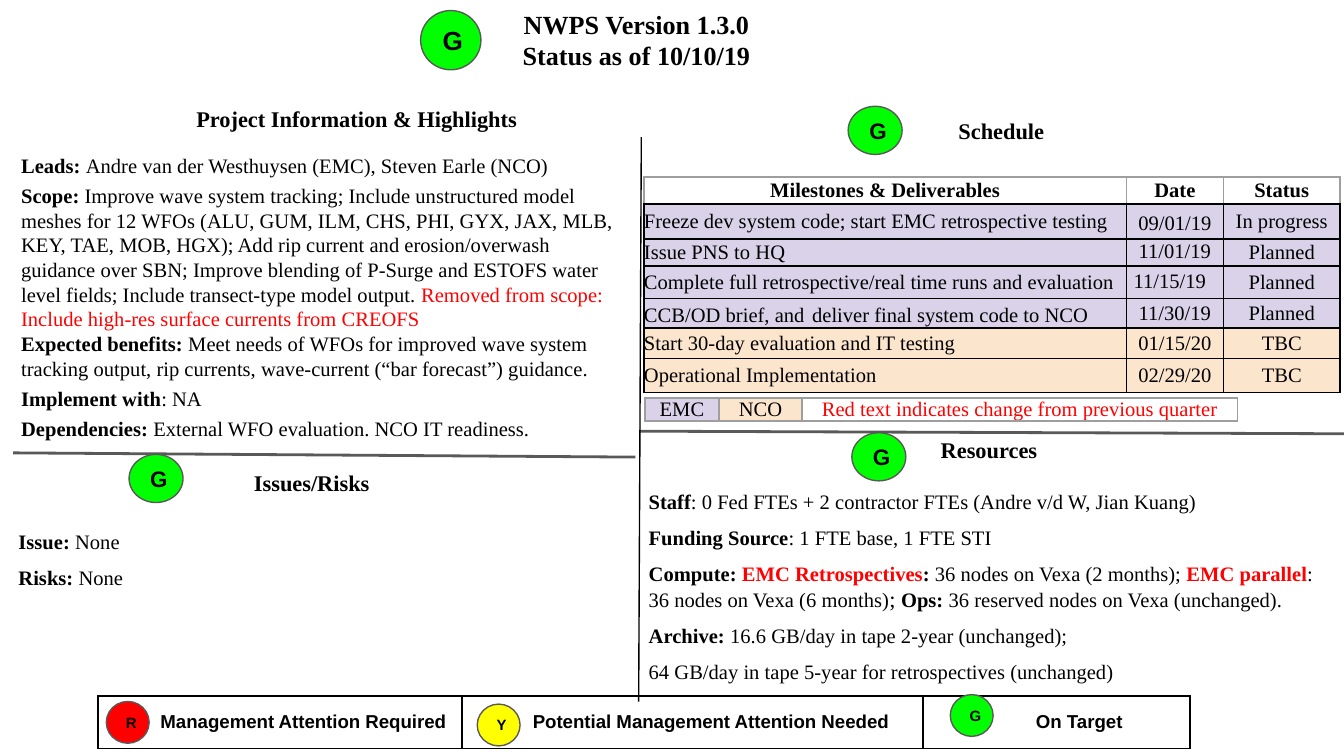
"""Build the NWPS quarterly project status slide."""
import pptx
import pptx.dml.color
import pptx.enum.shapes
import pptx.enum.text
import pptx.oxml
import pptx.oxml.ns
import pptx.util
from lxml import etree

Cm, Pt = pptx.util.Cm, pptx.util.Pt
RGBColor = pptx.dml.color.RGBColor
ALIGN = pptx.enum.text.PP_ALIGN
ANCHOR = pptx.enum.text.MSO_ANCHOR
SHAPE = pptx.enum.shapes.MSO_SHAPE

BLACK = RGBColor(0x00, 0x00, 0x00)
RED = RGBColor(0xFF, 0x00, 0x00)
YELLOW = RGBColor(0xFF, 0xFF, 0x00)
GREEN = RGBColor(0x00, 0xFF, 0x00)
GRAY = RGBColor(0x59, 0x59, 0x59)
LIGHT_GRAY = RGBColor(0x9E, 0x9E, 0x9E)
LILAC = RGBColor(0xD9, 0xD2, 0xE9)
PEACH = RGBColor(0xFC, 0xE5, 0xCD)
SERIF, SANS = "Times New Roman", "Arial"

HIGHLIGHTS = [
    (0, [("Leads: ", {"bold": True}),
         "Andre van der Westhuysen (EMC), Steven Earle (NCO)"]),
    (3, [("Scope: ", {"bold": True}),
         "Improve wave system tracking; Include unstructured model meshes for 12 WFOs "
         "(ALU, GUM, ILM, CHS, PHI, GYX, JAX, MLB, KEY, TAE, MOB, HGX); Add rip current "
         "and erosion/overwash guidance over SBN; Improve blending of P-Surge and ESTOFS "
         "water level fields; Include transect-type model output. ",
         ("Removed from scope: Include high-res surface currents from CREOFS",
          {"color": RED})]),
    (0, [("Expected benefits:", {"bold": True}),
         " Meet needs of WFOs for improved wave system tracking output, rip currents, "
         "wave-current (“bar forecast”) guidance."]),
    (3, [("Implement with", {"bold": True}), ": NA"]),
    (3, [("Dependencies: ", {"bold": True}),
         "External WFO evaluation. NCO IT readiness."]),
]
ISSUES = [
    (0, [("Issue: ", {"bold": True}), "None"]),
    (6, [("Risks: ", {"bold": True}), "None"]),
]
RESOURCES = [
    (0, [("Staff", {"bold": True}),
         ": 0 Fed FTEs + 2 contractor FTEs (Andre v/d W, Jian Kuang)"]),
    (6, [("Funding Source", {"bold": True}), ": 1 FTE base, 1 FTE STI"]),
    (6, [("Compute: ", {"bold": True}),
         ("EMC Retrospectives", {"bold": True, "color": RED}),
         (": ", {"bold": True}), "36 nodes on Vexa (2 months); ",
         ("EMC parallel", {"bold": True, "color": RED}),
         ": 36 nodes on Vexa (6 months)", ("; ", {"size": 12}),
         ("Ops: ", {"bold": True}), "36 reserved nodes on Vexa (unchanged)."]),
    (6, [("Archive:", {"bold": True}), " 16.6 GB/day in tape 2-year (unchanged);"]),
    (6, ["64 GB/day in tape 5-year for retrospectives (unchanged)"]),
]
MILESTONES = [
    (["Freeze dev system code; start EMC retrospective testing"],
     "09/01/19", "In progress", LILAC, 1.15),
    (["Issue PNS to HQ"], "11/01/19", "Planned", LILAC, 0.9),
    (["Complete full retrospective/real time runs and evaluation"],
     "11/15/19", "Planned", LILAC, 0.9),
    (["CCB/OD brief, and", (" ", {"size": 14, "name": SANS}),
      "deliver final system code to NCO"], "11/30/19", "Planned", LILAC, None),
    (["Start 30-day evaluation and IT testing"], "01/15/20", "TBC", PEACH, None),
    (["Operational Implementation"], "02/29/20", "TBC", PEACH, None),
]


def style_font(font, name=None, size=None, bold=None, color=None):
    """Apply the given font settings."""
    if name:
        font.name = name
    if size:
        font.size = Pt(size)
    if bold is not None:
        font.bold = bold
    if color is not None:
        font.color.rgb = color


def fill_paragraph(p, runs, size, name=SERIF, bold=False, color=BLACK, align=ALIGN.LEFT):
    """Write runs that share a paragraph font, with overrides per run."""
    p.alignment = align
    style_font(p.font, name, size, bold, color)
    for item in runs:
        text, changes = (item, {}) if isinstance(item, str) else item
        r = p.add_run()
        r.text = text
        style_font(r.font, **changes)


def set_frame(tf, anchor):
    """Set wrapping, anchor and equal insets of a text frame."""
    tf.word_wrap = True
    tf.auto_size = pptx.enum.text.MSO_AUTO_SIZE.NONE
    tf.vertical_anchor = anchor
    tf.margin_left = tf.margin_top = tf.margin_right = tf.margin_bottom = Cm(0.25)


def add_title(s, lines):
    """Place the slide title, one paragraph per line."""
    sp = s.shapes.title
    sp.left, sp.top, sp.width, sp.height = Cm(7.75), Cm(-0.03), Cm(8.56), Cm(1.55)
    tf = sp.text_frame
    set_frame(tf, ANCHOR.MIDDLE)
    for i, line in enumerate(lines):
        p = tf.add_paragraph() if i else tf.paragraphs[0]
        p.space_before = Pt(0)
        fill_paragraph(p, [line], 14, bold=True, align=ALIGN.CENTER)


def add_heading(s, text, x, y, w, h, align=ALIGN.LEFT):
    """Add a section heading."""
    tf = s.shapes.add_textbox(Cm(x), Cm(y), Cm(w), Cm(h)).text_frame
    set_frame(tf, ANCHOR.MIDDLE)
    fill_paragraph(tf.paragraphs[0], [text], 12, bold=True, align=align)


def add_body(s, paragraphs, x, y, w, h):
    """Add a text box of paragraphs, each with its space before."""
    tf = s.shapes.add_textbox(Cm(x), Cm(y), Cm(w), Cm(h)).text_frame
    set_frame(tf, ANCHOR.TOP)
    for i, (space, runs) in enumerate(paragraphs):
        p = tf.add_paragraph() if i else tf.paragraphs[0]
        if space:
            p.space_before = Pt(space)
        fill_paragraph(p, runs, 11)


def add_light(s, letter, color, x, y, w, h, size, align=ALIGN.CENTER):
    """Add a round status light with its letter."""
    sp = s.shapes.add_shape(SHAPE.OVAL, Cm(x), Cm(y), Cm(w), Cm(h))
    sp.shadow.inherit = False
    sp.fill.solid()
    sp.fill.fore_color.rgb = color
    sp.line.color.rgb = GRAY
    sp.line.width = Pt(0.75)
    set_frame(sp.text_frame, ANCHOR.MIDDLE)
    fill_paragraph(sp.text_frame.paragraphs[0], [letter], size, SANS, True, align=align)


def add_divider(s, x1, y1, x2, y2, color, width):
    """Add a straight dividing line."""
    line = s.shapes.add_connector(
        pptx.enum.shapes.MSO_CONNECTOR.STRAIGHT, Cm(x1), Cm(y1), Cm(x2), Cm(y2))
    line.line.color.rgb = color
    line.line.width = Pt(width)
    etree.SubElement(line._element.spPr, pptx.oxml.ns.qn("a:effectLst"))


def add_grid(s, x, y, cols, rows):
    """Add a plain table and return it."""
    table = s.shapes.add_table(
        len(rows), len(cols), Cm(x), Cm(y), Cm(sum(cols)), Cm(sum(rows))).table
    table.first_row = table.horz_banding = False
    for column, width in zip(table.columns, cols):
        column.width = Cm(width)
    for row, height in zip(table.rows, rows):
        row.height = Cm(height)
    return table


def fill_cell(cell, runs, size=11, fill=None, border=BLACK, bottom=None, left=0, right=0,
              spacing=None, **font):
    """Write, fill and border one table cell."""
    cell.margin_top = cell.margin_bottom = Cm(0)
    cell.margin_left, cell.margin_right = Cm(left), Cm(right)
    cell.vertical_anchor = ANCHOR.MIDDLE
    if fill is None:
        cell.fill.background()
    else:
        cell.fill.solid()
        cell.fill.fore_color.rgb = fill
    sides = {"lnL": border, "lnR": border, "lnT": border, "lnB": bottom or border}
    for i, (side, color) in enumerate(sides.items()):
        cell._tc.get_or_add_tcPr().insert(i, pptx.oxml.parse_xml(
            f'<a:{side} {pptx.oxml.ns.nsdecls("a")} w="12700"><a:solidFill>'
            f'<a:srgbClr val="{color}"/></a:solidFill></a:{side}>'))
    p = cell.text_frame.paragraphs[0]
    if spacing:
        p.line_spacing = spacing
    fill_paragraph(p, runs, size, **font)


def add_milestones(s):
    """Add the schedule table and its colour key."""
    center = {"align": ALIGN.CENTER}
    table = add_grid(s, 12.17, 3.35, [9.12, 1.83, 2.21],
                     [0.51, 0.66, 0.51, 0.61, 0.51, 0.58, 0.64])
    for c, text in enumerate(["Milestones & Deliverables", "Date", "Status"]):
        fill_cell(table.cell(0, c), [text], border=LIGHT_GRAY, bottom=BLACK, bold=True, **center)
    for i, (runs, date, status, fill, spacing) in enumerate(MILESTONES, 1):
        fill_cell(table.cell(i, 0), runs, fill=fill)
        fill_cell(table.cell(i, 1), [date], fill=fill, spacing=spacing,
                  right=0.19 if date == "11/15/19" else 0, **center)
        fill_cell(table.cell(i, 2), [status], fill=fill, **center)
    key = add_grid(s, 12.19, 7.52, [1.4, 1.57, 8.23], [0.38])
    entries = [("EMC", LILAC, BLACK), ("NCO", PEACH, BLACK),
               ("Red text indicates change from previous quarter", None, RED)]
    for c, (text, fill, color) in enumerate(entries):
        fill_cell(key.cell(0, c), [text], fill=fill, border=LIGHT_GRAY, color=color, **center)


def add_legend(s):
    """Add the status legend with its lights."""
    table = add_grid(s, 1.85, 13.16, [6.88, 8.71, 5.05], [0.99])
    entries = [("Management Attention Required", 0.88, "R", RED, 2.01, 13.26),
               ("Potential Management Attention Needed", 0.69, "Y", YELLOW, 9.02, 13.31),
               ("On Target", 0.86, "G", GREEN, 17.96, 13.13)]
    for c, (text, left, letter, color, x, y) in enumerate(entries):
        fill_cell(table.cell(0, c), [text], 10, left=left, name=SANS, bold=True,
                  align=ALIGN.CENTER)
        add_light(s, letter, color, x, y, 0.81, 0.79, 8, ALIGN.LEFT)


def main():
    """Build and save the slide."""
    prs = pptx.Presentation()
    prs.slide_width, prs.slide_height = Cm(25.4), Cm(14.29)
    s = prs.slides.add_slide(prs.slide_layouts[5])
    add_title(s, ["NWPS Version 1.3.0", "Status as of 10/10/19"])
    add_heading(s, "Project Information & Highlights", 3.2, 1.85, 7.09, 0.79, ALIGN.CENTER)
    add_heading(s, "Schedule", 17.68, 2.11, 2.49, 0.71, ALIGN.CENTER)
    add_heading(s, "Issues/Risks", 4.55, 8.76, 2.77, 0.71)
    add_heading(s, "Resources", 17.53, 8.15, 2.77, 0.71)
    add_body(s, HIGHLIGHTS, 0.15, 2.64, 11.94, 5.82)
    add_body(s, ISSUES, 0.1, 9.75, 11.76, 2.49)
    add_body(s, RESOURCES, 12.01, 8.99, 13.39, 4.09)
    add_milestones(s)
    add_legend(s)
    add_divider(s, 0.25, 8.56, 12.01, 8.64, GRAY, 1.5)
    add_divider(s, 12.09, 8.15, 25.4, 8.2, GRAY, 1.5)
    add_divider(s, 12.12, 2.59, 12.07, 13.26, BLACK, 0.75)
    add_light(s, "G", GREEN, 7.95, 0.2, 1.14, 1.12, 14)
    for x, y in [(16.03, 2.01), (2.44, 8.59), (16.1, 8.18)]:
        add_light(s, "G", GREEN, x, y, 1.02, 0.91, 12)
    prs.save("out.pptx")


if __name__ == "__main__":
    main()
